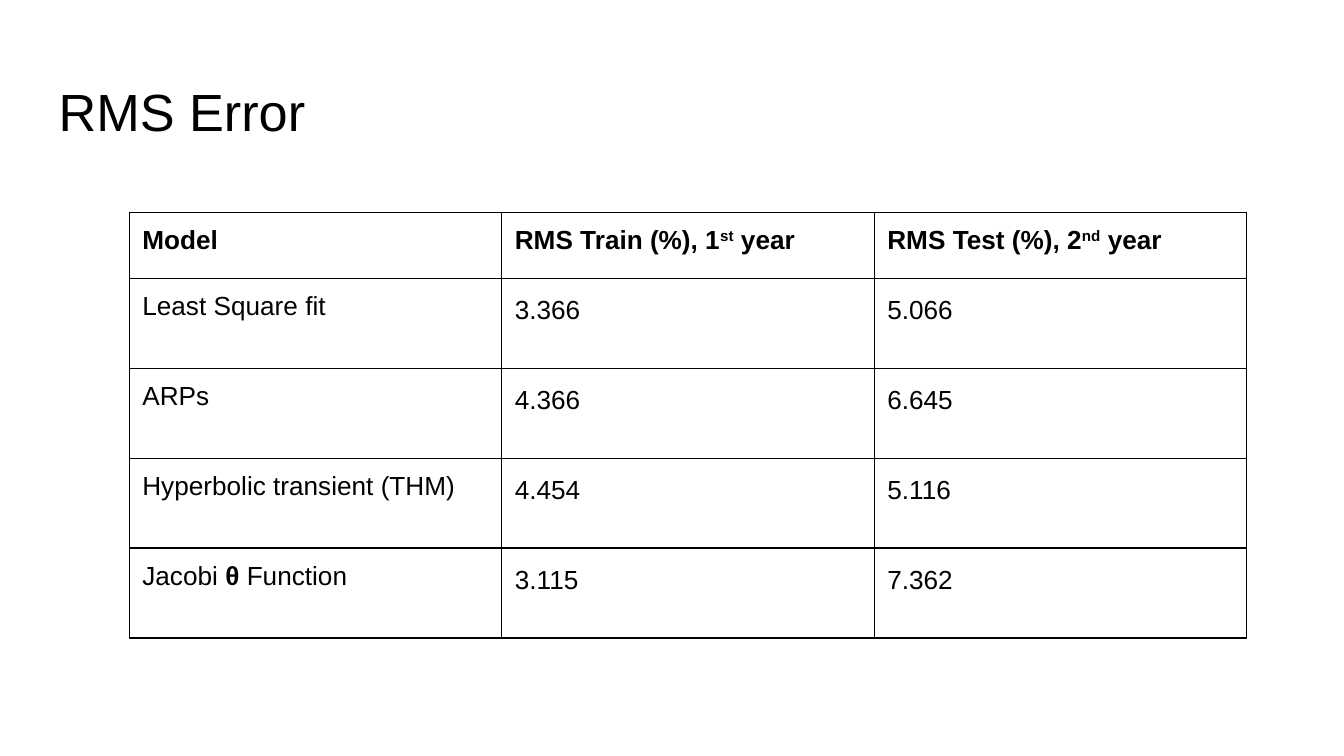
from lxml import etree
from pptx import Presentation
from pptx.dml.color import RGBColor
from pptx.enum.text import MSO_ANCHOR, MSO_AUTO_SIZE, PP_ALIGN
from pptx.oxml.ns import qn
from pptx.util import Cm, Pt

LEFT = PP_ALIGN.LEFT
TOP = MSO_ANCHOR.TOP
NO_FIT = MSO_AUTO_SIZE.NONE

COLORS = {"text": "000000", "border": "000000"}
MARGINS = {f"margin_{side}": Cm(0.25) for side in ("left", "top", "right", "bottom")}
TITLE_ONLY = 5

HEADER = [
    [("Model", "bold")],
    [("RMS Train (%), 1", "bold"), ("st", "super"), (" year", "bold")],
    [("RMS Test (%), 2", "bold"), ("nd", "super"), (" year", "bold")],
]
RESULTS = [
    ([("Least Square fit", "plain")], "3.366", "5.066"),
    ([("ARPs", "plain")], "4.366", "6.645"),
    ([("Hyperbolic transient (THM)", "plain")], "4.454", "5.116"),
    ([("Jacobi ", "plain"), ("θ ", "bold"), ("Function", "plain")], "3.115", "7.362"),
]


def apply(target, values):
    for name, value in values.items():
        setattr(target, name, value)


class ErrorSlide:
    font = "Arial"
    title_size = Pt(28)
    table_size = Pt(14)

    def __init__(self, deck):
        self.page = deck.slides.add_slide(deck.slide_layouts[TITLE_ONLY])

    def add_spans(self, para, spans, size):
        para.alignment = LEFT
        for text, style in spans:
            span = para.add_run()
            span.text = text
            apply(span.font, {"name": self.font, "size": size, "bold": style != "plain"})
            span.font.color.rgb = RGBColor.from_string(COLORS["text"])
            if style == "super":
                span.font._element.set("baseline", "30000")

    def title(self, text, left, top, width, height):
        box = self.page.shapes.title
        apply(box, {"left": Cm(left), "top": Cm(top), "width": Cm(width), "height": Cm(height)})
        frame = box.text_frame
        apply(frame, {**MARGINS, "vertical_anchor": TOP, "auto_size": NO_FIT, "word_wrap": True})
        self.add_spans(frame.paragraphs[0], [(text, "plain")], self.title_size)

    def border(self, cell):
        properties = cell._tc.get_or_add_tcPr()
        for side in ("a:lnL", "a:lnR", "a:lnT", "a:lnB"):
            line = etree.SubElement(properties, qn(side), w=str(Pt(0.75)))
            fill = etree.SubElement(line, qn("a:solidFill"))
            etree.SubElement(fill, qn("a:srgbClr"), val=COLORS["border"])

    def cell(self, cell, spans, spacing):
        apply(cell, {**MARGINS, "vertical_anchor": TOP})
        self.border(cell)
        cell.fill.background()
        para = cell.text_frame.paragraphs[0]
        para.line_spacing = spacing
        self.add_spans(para, spans, self.table_size)

    def table(self, rows, left, top, column_width, heights):
        columns = len(rows[0])
        table = self.page.shapes.add_table(
            len(rows), columns, Cm(left), Cm(top), Cm(column_width * columns), Cm(sum(heights))
        ).table
        apply(table, {"first_row": False, "horz_banding": False})
        for column in table.columns:
            column.width = Cm(column_width)
        for r, (spans_row, height) in enumerate(zip(rows, heights)):
            table.rows[r].height = Cm(height)
            for c, spans in enumerate(spans_row):
                self.cell(table.cell(r, c), spans, 1.15 if r and c else 1.0)


def main():
    deck = Presentation()
    apply(deck, {"slide_width": Cm(25.4), "slide_height": Cm(14.29)})
    slide = ErrorSlide(deck)
    slide.title("RMS Error", 0.86, 1.24, 23.67, 1.6)
    body = [[model, [(train, "plain")], [(test, "plain")]] for model, train, test in RESULTS]
    slide.table([HEADER] + body, 2.44, 4.01, 7.04, [1.25] + [1.7] * len(body))
    deck.save("out.pptx")


if __name__ == "__main__":
    main()
